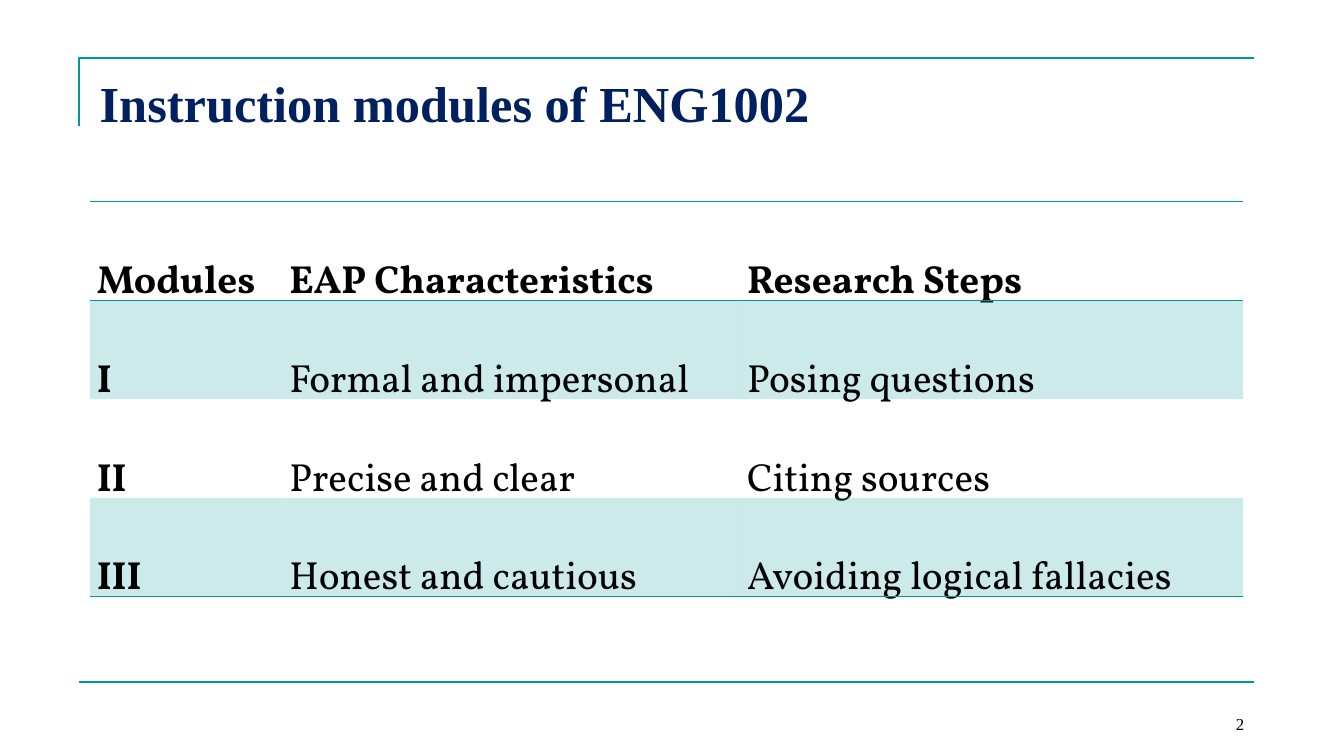
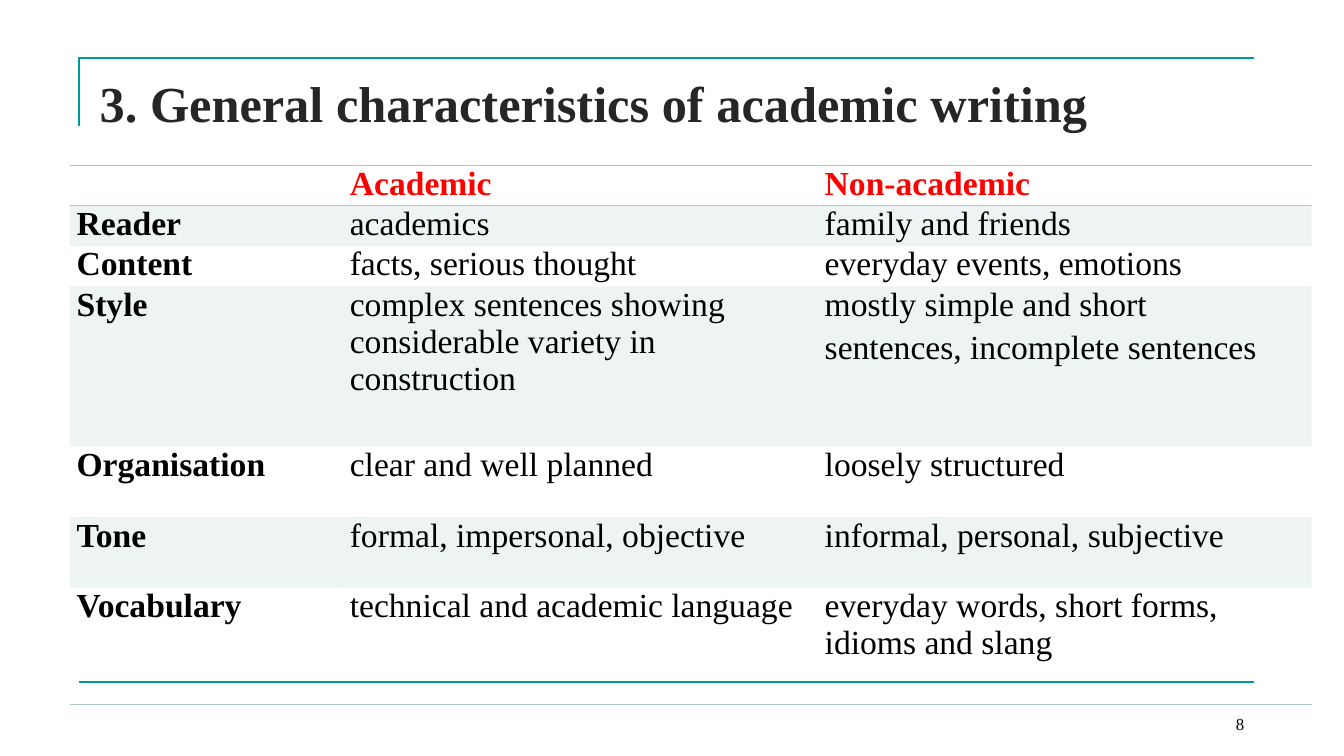
"""Build two slides on academic writing, each with a ruled and banded table."""
from dataclasses import dataclass
from typing import Any

import lxml.etree
import pptx
import pptx.dml.color
import pptx.enum.shapes
import pptx.enum.text
import pptx.oxml.ns
import pptx.util

SCALE = 9144
WIDE, HIGH = 1333, 750
LEFT, RIGHT = 78, 1244
SERIF = "Times New Roman"
PLAIN = "{2D5ABB26-0587-4C30-8999-92F81FD0307C}"
HUES = {"teal": "009999", "mist": "AACACA", "navy": "002060",
        "coal": "262626", "red": "FF0000", "black": "000000"}
ALIGN = pptx.enum.text.PP_ALIGN
ANCHOR = pptx.enum.text.MSO_ANCHOR


@dataclass(frozen=True)
class Grid:
    """A table: its place, sizes, look and rows of text."""

    left: int
    top: int
    cols: tuple[int, ...]
    highs: tuple[int, ...]
    rows: tuple[tuple[str, ...], ...]
    tint: str
    head: str
    font: str
    size: int
    lines: float | None = None
    after: int | None = None
    anchor: Any = ANCHOR.TOP


@dataclass(frozen=True)
class Page:
    """A slide: its title, number and table."""

    title: str
    hue: str
    number: int
    grid: Grid


PAGES = (
    Page("Instruction modules of ENG1002", "navy", 2, Grid(
        89, 200, (191, 454, 499), (98,) * 4,
        (("Modules", "EAP Characteristics", "Research Steps"),
         ("I", "Formal and impersonal", "Posing questions"),
         ("II", "Precise and clear", "Citing sources"),
         ("III", "Honest and cautious", "Avoiding logical fallacies")),
        tint="teal", head="black", font="Vollkorn", size=28,
        lines=2.0, anchor=ANCHOR.MIDDLE)),
    Page("3. General characteristics of academic writing", "coal", 8, Grid(
        69, 164, (271, 471, 490), (35, 35, 35, 159, 70, 70, 116),
        (("", "Academic", "Non-academic"),
         ("Reader", "academics", "family and friends"),
         ("Content", "facts, serious thought", "everyday events, emotions"),
         ("Style",
          "complex sentences showing considerable variety in construction",
          "mostly simple and short\nsentences, incomplete sentences"),
         ("Organisation", "clear and well planned", "loosely structured"),
         ("Tone", "formal, impersonal, objective",
          "informal, personal, subjective"),
         ("Vocabulary", "technical and academic language",
          "everyday words, short forms, idioms and slang")),
        tint="mist", head="red", font=SERIF, size=24, after=4)),
)


def emu(px: int) -> int:
    """Turn px into EMU."""
    return px * SCALE


def rgb(name: str) -> pptx.dml.color.RGBColor:
    """Look up a named colour."""
    return pptx.dml.color.RGBColor.from_string(HUES[name])


def node(base: Any, tag: str, **attrs: str) -> Any:
    """Add a drawing element below base."""
    return lxml.etree.SubElement(base, pptx.oxml.ns.qn(tag), attrs)


def write(frame: Any, text: str, *, size: int, font: str = SERIF,
          hue: str = "black", bold: bool = False, align: Any = ALIGN.LEFT,
          lines: float | None = None, after: int | None = None) -> None:
    """Fill a text frame, one paragraph for each line of text."""
    frame.word_wrap = True
    for i, part in enumerate(text.split("\n")):
        para = frame.add_paragraph() if i else frame.paragraphs[0]
        para.alignment = align
        if lines is not None:
            para.line_spacing = lines
        if after is not None:
            para.space_after = pptx.util.Pt(after)
        run = para.add_run()
        run.text = part
        run.font.name = font
        run.font.size = pptx.util.Pt(size)
        run.font.bold = bold
        run.font.color.rgb = rgb(hue)


def label(slide: Any, box: tuple[int, ...], text: str,
          anchor: Any = ANCHOR.TOP, **look: Any) -> None:
    """Add a text box."""
    frame = slide.shapes.add_textbox(*map(emu, box)).text_frame
    frame.vertical_anchor = anchor
    write(frame, text, **look)


def stroke(shape: Any) -> None:
    """Give a shape the teal rule."""
    shape.line.color.rgb = rgb("teal")
    shape.line.width = pptx.util.Pt(1.5)


def rules(slide: Any) -> None:
    """Draw the corner bracket and the foot rule."""
    path = slide.shapes.build_freeform(emu(LEFT), emu(125), scale=1.0)
    path.add_line_segments(
        [(emu(LEFT), emu(58)), (emu(RIGHT), emu(58))], close=False)
    corner = path.convert_to_shape()
    corner.fill.background()
    corner.shadow.inherit = False
    stroke(corner)
    foot = slide.shapes.add_connector(
        pptx.enum.shapes.MSO_CONNECTOR.STRAIGHT,
        emu(LEFT), emu(677), emu(RIGHT), emu(677))
    stroke(foot)
    node(foot.element.spPr, "a:effectLst")


def paint(cell: Any, tint: str, band: bool, edges: list[str]) -> None:
    """Set the fill and the edges of a cell."""
    props = cell._tc.get_or_add_tcPr()
    if band:
        cell.fill.solid()
        cell.fill.fore_color.rgb = rgb(tint)
        tone = props.find(".//" + pptx.oxml.ns.qn("a:srgbClr"))
        node(tone, "a:alpha", val="20000")
    else:
        cell.fill.background()
    for i, edge in enumerate(edges):
        line = node(props, edge, w=str(pptx.util.Pt(1)))
        node(node(line, "a:solidFill"), "a:srgbClr", val=HUES[tint])
        props.insert(i, line)


def table(slide: Any, grid: Grid) -> None:
    """Add a table with tinted odd rows."""
    sizes = (grid.left, grid.top, sum(grid.cols), sum(grid.highs))
    tab = slide.shapes.add_table(
        len(grid.rows), len(grid.cols), *map(emu, sizes)).table
    tab.first_row = tab.horz_banding = False
    tab._tbl.tblPr.find(pptx.oxml.ns.qn("a:tableStyleId")).text = PLAIN
    for col, width in zip(tab.columns, grid.cols):
        col.width = emu(width)
    last = len(grid.rows) - 1
    for r, texts in enumerate(grid.rows):
        tab.rows[r].height = emu(grid.highs[r])
        edges = ["a:lnT"] if r == 0 else []
        if r in (0, last):
            edges.append("a:lnB")
        for c, text in enumerate(texts):
            cell = tab.cell(r, c)
            cell.margin_left = cell.margin_right = emu(7)
            cell.margin_top = cell.margin_bottom = 0
            cell.vertical_anchor = grid.anchor
            write(cell.text_frame, text, size=grid.size, font=grid.font,
                  hue="black" if r else grid.head, bold=r == 0 or c == 0,
                  lines=grid.lines, after=grid.after)
            paint(cell, grid.tint, r % 2 == 1, edges)


def main() -> None:
    """Build and save the deck."""
    deck = pptx.Presentation()
    deck.slide_width, deck.slide_height = emu(WIDE), emu(HIGH)
    for page in PAGES:
        slide = deck.slides.add_slide(deck.slide_layouts[6])
        rules(slide)
        label(slide, (89, 67, 1144, 97), page.title,
              size=36, hue=page.hue, bold=True)
        table(slide, page.grid)
        label(slide, (933, 683, 311, 50), str(page.number),
              anchor=ANCHOR.BOTTOM, size=12, align=ALIGN.RIGHT)
    deck.save("out.pptx")


if __name__ == "__main__":
    main()
